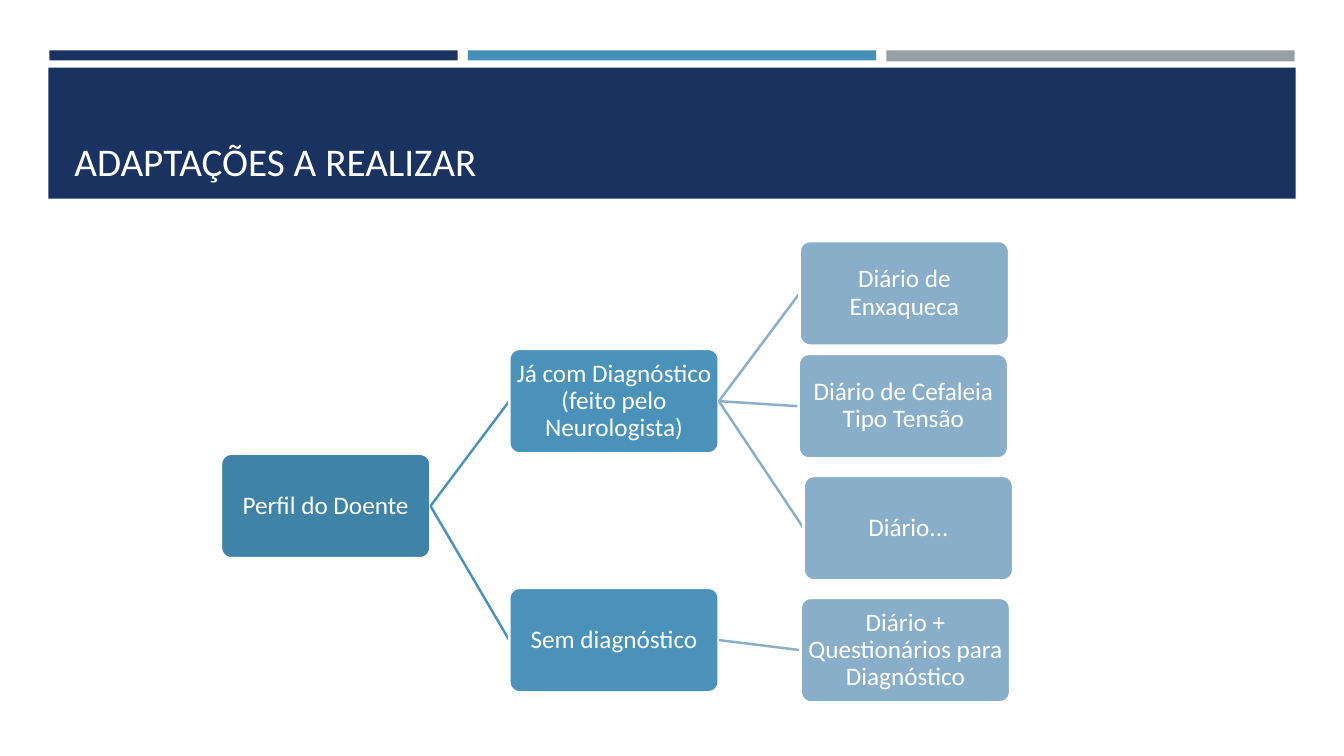
from dataclasses import dataclass
from typing import Optional

from lxml.etree import SubElement
from pptx import Presentation
from pptx.dml.color import RGBColor
from pptx.enum.shapes import MSO_CONNECTOR as Connector, MSO_SHAPE as Shape
from pptx.enum.text import MSO_ANCHOR as Anchor, PP_ALIGN as Align
from pptx.oxml.ns import qn
from pptx.util import Pt

EMU_PER_PX = 9144
FONT = "Calibri"
NODE_WIDTH, NODE_HEIGHT = 208, 104
RIGHT_SITE, LEFT_SITE = 3, 1
COLORS = {
    "navy": "1A3260",
    "blue": "4590B8",
    "gray": "969FA7",
    "white": "FFFFFF",
    "root": "3F83A7",
    "branch": "4A92B9",
    "leaf": "89AEC9",
}


@dataclass(frozen=True)
class Bar:
    left: int
    top: int
    width: int
    height: int
    color: str


@dataclass(frozen=True)
class Node:
    text: str
    left: int
    top: int
    color: str
    parent: Optional[int] = None


BARS = [
    Bar(49, 50, 405, 10, "navy"),
    Bar(879, 50, 405, 11, "gray"),
    Bar(464, 50, 405, 10, "blue"),
    Bar(48, 67, 1237, 130, "navy"),
]

NODES = [
    Node("Perfil do Doente", 219, 450, "root"),
    Node("Já com Diagnóstico (feito pelo Neurologista)", 505, 346, "branch", 0),
    Node("Diário de Enxaqueca", 793, 239, "leaf", 1),
    Node("Diário de Cefaleia Tipo Tensão", 792, 351, "leaf", 1),
    Node("Diário...", 797, 472, "leaf", 1),
    Node("Sem diagnóstico", 505, 583, "branch", 0),
    Node("Diário + Questionários para Diagnóstico", 794, 593, "leaf", 5),
]


def px(length: int) -> int:
    return length * EMU_PER_PX


def rgb(name: str) -> RGBColor:
    return RGBColor.from_string(COLORS[name])


def write(shape, text: str, size: int, align: Align, anchor: Anchor):
    frame = shape.text_frame
    frame.word_wrap = True
    frame.vertical_anchor = anchor
    frame.text = text
    para = frame.paragraphs[0]
    para.alignment = align
    para.font.size = Pt(size)
    para.font.name = FONT
    para.font.color.rgb = rgb("white")
    return frame


def draw_bar(page, bar: Bar) -> None:
    shape = page.shapes.add_shape(
        Shape.RECTANGLE, px(bar.left), px(bar.top), px(bar.width), px(bar.height)
    )
    shape.shadow.inherit = False
    shape.fill.solid()
    shape.fill.fore_color.rgb = rgb(bar.color)
    shape.line.fill.background()


def draw_title(page, text: str) -> None:
    box = page.shapes.add_textbox(px(64), px(77), px(1206), px(111))
    write(box, text, 28, Align.LEFT, Anchor.BOTTOM)


def draw_box(page, node: Node):
    box = page.shapes.add_shape(
        Shape.ROUNDED_RECTANGLE,
        px(node.left), px(node.top), px(NODE_WIDTH), px(NODE_HEIGHT),
    )
    box.adjustments[0] = 0.1
    box.shadow.inherit = False
    box.fill.solid()
    box.fill.fore_color.rgb = rgb(node.color)
    box.line.color.rgb = rgb("white")
    box.line.width = Pt(2)
    frame = write(box, node.text, 18, Align.CENTER, Anchor.MIDDLE)
    frame.margin_left = frame.margin_right = px(1)
    frame.margin_top = frame.margin_bottom = px(1)
    frame.paragraphs[0].line_spacing = 0.9
    return box


def draw_link(page, parent: Node, child: Node):
    middle = NODE_HEIGHT // 2
    link = page.shapes.add_connector(
        Connector.STRAIGHT,
        px(parent.left + NODE_WIDTH), px(parent.top + middle),
        px(child.left), px(child.top + middle),
    )
    link.line.color.rgb = rgb(child.color)
    link.line.width = Pt(1.75)
    SubElement(link._element.spPr, qn("a:effectLst"))
    return link


def draw_tree(page, nodes: list[Node]) -> None:
    boxes = []
    for node in nodes:
        if node.parent is None:
            boxes.append(draw_box(page, node))
            continue
        link = draw_link(page, nodes[node.parent], node)
        boxes.append(draw_box(page, node))
        link.begin_connect(boxes[node.parent], RIGHT_SITE)
        link.end_connect(boxes[-1], LEFT_SITE)


def main() -> None:
    deck = Presentation()
    deck.slide_width, deck.slide_height = px(1333), px(750)
    page = deck.slides.add_slide(deck.slide_layouts[6])
    for bar in BARS:
        draw_bar(page, bar)
    draw_title(page, "ADAPTAÇÕES A REALIZAR")
    draw_tree(page, NODES)
    deck.save("out.pptx")


if __name__ == "__main__":
    main()
